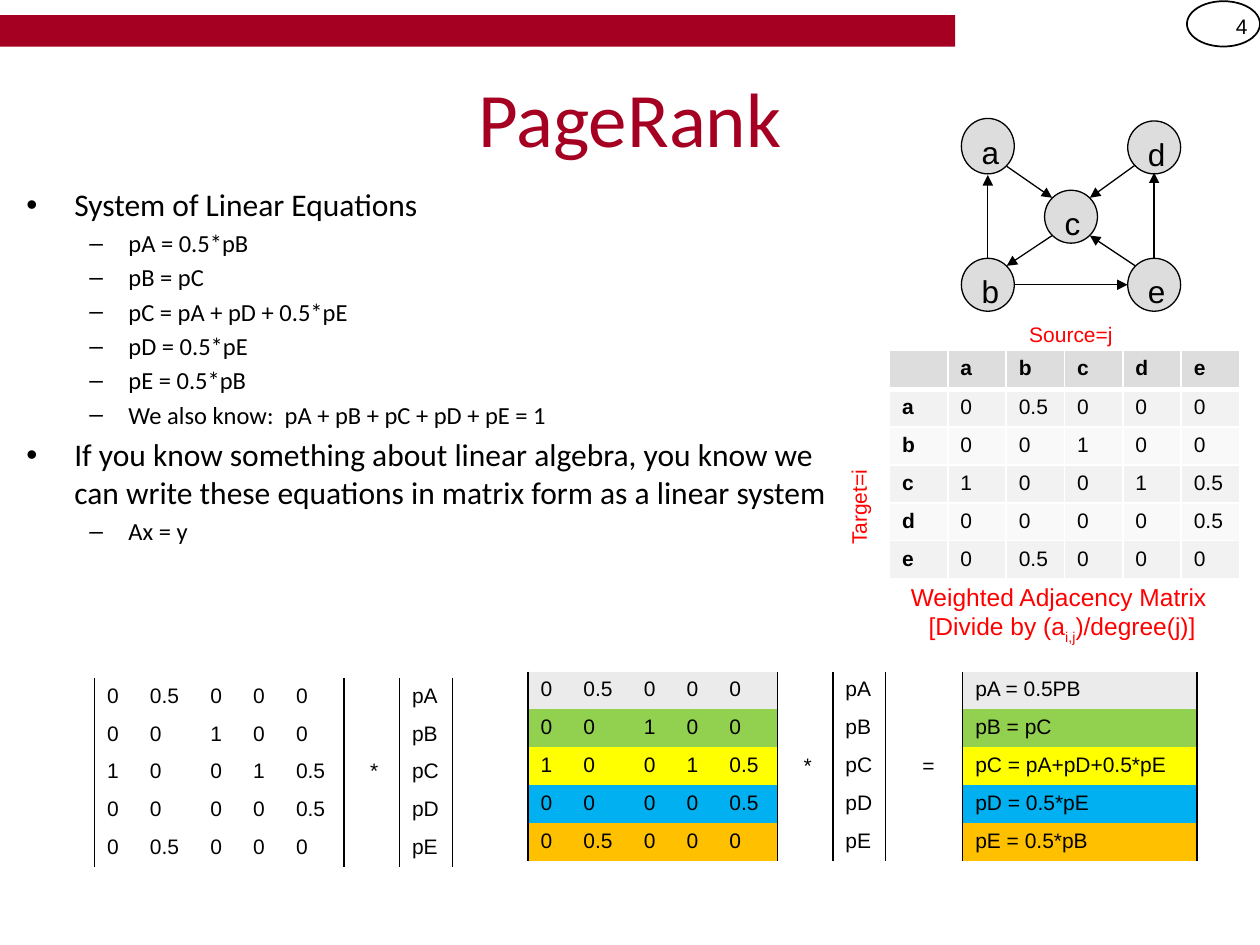
"""Build the PageRank slide: link graph, weighted adjacency matrix and linear system."""
from dataclasses import dataclass
from typing import NamedTuple, Optional, Sequence

from pptx import Presentation
from pptx.dml.color import RGBColor
from pptx.enum.shapes import MSO_CONNECTOR, MSO_SHAPE
from pptx.enum.text import MSO_ANCHOR, MSO_AUTO_SIZE, PP_ALIGN
from pptx.oxml.ns import qn
from pptx.util import Inches, Pt
from lxml.etree import SubElement


@dataclass(frozen=True)
class Theme:
    heading: str = "Calibri"
    label: str = "Arial"
    ink: str = "000000"
    paper: str = "FFFFFF"
    brand: str = "A50021"
    note: str = "FF0000"
    node: str = "DDDDDD"
    bands: tuple = ("F2F2F2", "F9F9F9")
    equations: tuple = ("EBEBEB", "92D050", "FFFF00", "00B0F0", "FFC000")
    title_size: int = 44
    topic_size: int = 18
    caption_size: int = 14
    small_size: int = 12


class Box(NamedTuple):
    left: float
    top: float
    width: float
    height: float


class Node(NamedTuple):
    name: str
    box: Box


class Link(NamedTuple):
    x1: float
    y1: float
    x2: float
    y2: float


class Level(NamedTuple):
    bullet: str
    margin: float
    indent: float
    size: int
    before: float


class Product(NamedTuple):
    left: float
    top: float
    star_top: float
    fills: Optional[Sequence[str]]
    vector_fill: Optional[str]


THEME = Theme()
PAGES = "abcde"
WEIGHTS = [row.split() for row in (
    "0 0.5 0 0 0", "0 0 1 0 0", "1 0 0 1 0.5", "0 0 0 0 0.5", "0 0.5 0 0 0")]
RANKS = [[f"p{page.upper()}"] for page in PAGES]
EQUATIONS = [["pA = 0.5PB"], ["pB = pC"], ["pC = pA+pD+0.5*pE"], ["pD = 0.5*pE"], ["pE = 0.5*pB"]]
LEVELS = (Level("•", 0.38, -0.38, THEME.topic_size, 3.6),
          Level("–", 0.81, -0.31, THEME.caption_size, 2.8))
OUTLINE = (
    (0, "System of Linear Equations"),
    (1, "pA = 0.5*pB"),
    (1, "pB = pC"),
    (1, "pC = pA + pD + 0.5*pE"),
    (1, "pD = 0.5*pE"),
    (1, "pE = 0.5*pB"),
    (1, "We also know:  pA + pB + pC + pD + pE = 1"),
    (0, "If you know something about linear algebra, you know we can write "
        "these equations in matrix form as a linear system"),
    (1, "Ax = y"),
)
NODES = (Node("a", Box(7.63, 0.94, 0.42, 0.44)), Node("b", Box(7.63, 2.05, 0.42, 0.42)),
         Node("d", Box(8.95, 0.96, 0.42, 0.42)), Node("c", Box(8.29, 1.51, 0.42, 0.42)),
         Node("e", Box(8.95, 2.05, 0.42, 0.42)))
LINKS = (Link(7.99, 1.32, 8.35, 1.57), Link(7.84, 2.05, 7.84, 1.39), Link(9.16, 2.05, 9.16, 1.37),
         Link(9.01, 2.11, 8.65, 1.87), Link(9.01, 1.31, 8.65, 1.57), Link(8.05, 2.26, 8.95, 2.26),
         Link(8.35, 1.87, 7.99, 2.11))
PRODUCTS = (Product(0.75, 5.38, 5.96, None, None),
            Product(4.19, 5.33, 5.92, THEME.equations, THEME.paper))


def emu(box: Box) -> list:
    return [Inches(length) for length in box]


def add_text(paragraph, words: str, size: float, color: str = THEME.ink,
             font: str = THEME.label, bold: bool = False):
    run = paragraph.add_run()
    run.text = words
    run.font.size, run.font.name, run.font.bold = Pt(size), font, bold
    run.font.color.rgb = RGBColor.from_string(color)
    return run


def add_label(slide, box: Box, words: str, size: int = THEME.small_size,
              color: str = THEME.ink, align=PP_ALIGN.CENTER):
    label = slide.shapes.add_textbox(*emu(box))
    label.text_frame.word_wrap = True
    paragraph = label.text_frame.paragraphs[0]
    paragraph.alignment = align
    add_text(paragraph, words, size, color)
    return label


def add_figure(slide, kind, box: Box, fill: Optional[str], outline: float = 0):
    figure = slide.shapes.add_shape(kind, *emu(box))
    figure.shadow.inherit = False
    if fill:
        figure.fill.solid()
        figure.fill.fore_color.rgb = RGBColor.from_string(fill)
    else:
        figure.fill.background()
    if outline:
        figure.line.color.rgb = RGBColor.from_string(THEME.ink)
        figure.line.width = Pt(outline)
    else:
        figure.line.fill.background()
    return figure


def add_node(slide, node: Node) -> None:
    frame = add_figure(slide, MSO_SHAPE.OVAL, node.box, THEME.node, 0.75).text_frame
    frame.word_wrap = False
    frame.vertical_anchor = MSO_ANCHOR.TOP
    frame.paragraphs[0].alignment = PP_ALIGN.LEFT
    add_text(frame.paragraphs[0], node.name, THEME.topic_size)


def add_link(slide, link: Link) -> None:
    arrow = slide.shapes.add_connector(MSO_CONNECTOR.STRAIGHT, *emu(link))
    arrow.line.color.rgb = RGBColor.from_string(THEME.ink)
    arrow.line.width = Pt(0.75)
    SubElement(arrow.line._get_or_add_ln(), qn("a:tailEnd"), type="triangle")
    SubElement(arrow._element.spPr, qn("a:effectLst"))


def add_border(cell, side: str, color: str, width: float) -> None:
    edge = SubElement(cell._tc.get_or_add_tcPr(), qn(f"a:ln{side}"), w=str(Pt(width)))
    SubElement(SubElement(edge, qn("a:solidFill")), qn("a:srgbClr"), val=color)


def add_grid(slide, left: float, top: float, widths: Sequence[float], rows: Sequence):
    grid = slide.shapes.add_table(len(rows), len(widths), *emu(
        Box(left, top, sum(widths), 0.28 * len(rows)))).table
    grid.first_row = grid.horz_banding = False
    grid._tbl.tblPr.find(qn("a:tableStyleId")).text = "{2D5ABB26-0587-4C30-8999-92F81FD0307C}"
    for column, width in zip(grid.columns, widths):
        column.width = Inches(width)
    return grid


def fill_cell(cell, words: str, fill: Optional[str], bold: bool = False) -> None:
    if fill:
        cell.fill.solid()
        cell.fill.fore_color.rgb = RGBColor.from_string(fill)
    if words:
        add_text(cell.text_frame.paragraphs[0], words, THEME.small_size, bold=bold)
    else:
        cell.margin_top = cell.margin_bottom = 0


def add_bracketed(slide, left: float, top: float, widths: Sequence[float], rows: Sequence,
                  fills: Optional[Sequence[str]]) -> None:
    grid = add_grid(slide, left, top, widths, rows)
    for r, row in enumerate(rows):
        for c, words in enumerate(row):
            cell = grid.cell(r, c)
            if c == 0:
                add_border(cell, "L", THEME.ink, 1)
            if c == len(row) - 1:
                add_border(cell, "R", THEME.ink, 1)
            fill_cell(cell, words, fills[r] if fills else None)


def add_adjacency(slide) -> None:
    rows = [["", *PAGES]] + [[page, *weights] for page, weights in zip(PAGES, WEIGHTS)]
    grid = add_grid(slide, 7.06, 2.78, [2.78 / 6] * 6, rows)
    grid.rows[0].height = Inches(0.31)
    for r, row in enumerate(rows):
        for c, words in enumerate(row):
            cell = grid.cell(r, c)
            for side in "LRTB":
                heavy = (r, side) in ((0, "B"), (1, "T"))
                add_border(cell, side, THEME.paper, 3 if heavy else 1)
            fill_cell(cell, words, THEME.bands[(r - 1) % 2] if r else THEME.node, r == 0 or c == 0)


def add_outline(body) -> None:
    body.left, body.top, body.width, body.height = emu(Box(0.11, 1.42, 6.73, 2.58))
    frame = body.text_frame
    frame.auto_size = MSO_AUTO_SIZE.NONE
    for position, (depth, words) in enumerate(OUTLINE):
        paragraph = frame.add_paragraph() if position else frame.paragraphs[0]
        level = LEVELS[depth]
        paragraph.level = depth
        paragraph.space_before = Pt(level.before if position else 0)
        properties = paragraph._p.get_or_add_pPr()
        properties.set("marL", str(Inches(level.margin)))
        properties.set("indent", str(Inches(level.indent)))
        SubElement(properties, qn("a:buChar"), char=level.bullet)
        add_text(paragraph, words, level.size, font=THEME.heading)


def main() -> None:
    deck = Presentation()
    deck.slide_width, deck.slide_height = Inches(10), Inches(7.5)
    slide = deck.slides.add_slide(deck.slide_layouts[1])
    title, body = slide.placeholders
    title.left, title.top, title.width, title.height = emu(Box(0.5, 0.3, 9, 1.25))
    title.text_frame.vertical_anchor = MSO_ANCHOR.MIDDLE
    add_text(title.text_frame.paragraphs[0], "PageRank", THEME.title_size, THEME.brand, THEME.heading)
    add_outline(body)

    add_figure(slide, MSO_SHAPE.RECTANGLE, Box(0, 0.12, 7.58, 0.25), THEME.brand)
    add_figure(slide, MSO_SHAPE.OVAL, Box(9.42, 0.01, 0.58, 0.36), None, 1)
    number = add_label(slide, Box(9.42, 0.01, 0.58, 0.4), "4", align=PP_ALIGN.RIGHT)
    number.text_frame.vertical_anchor = MSO_ANCHOR.MIDDLE

    for node in NODES:
        add_node(slide, node)
    for link in LINKS:
        add_link(slide, link)

    caption = add_label(slide, Box(7.03, 4.57, 2.8, 0.42), "Weighted Adjacency Matrix ",
                        THEME.caption_size, THEME.note).text_frame.paragraphs[0]
    caption.add_line_break()
    add_text(caption, "[Divide by (a", THEME.caption_size, THEME.note)
    subscript = add_text(caption, "i,j", THEME.caption_size, THEME.note)
    subscript.font._element.set("baseline", "-25000")
    add_text(caption, ")/degree(j)]", THEME.caption_size, THEME.note)
    add_label(slide, Box(6.08, 3.86, 1.5, 0.33), "Target=i", color=THEME.note).rotation = 270
    add_label(slide, Box(7.25, 2.5, 2.5, 0.25), "Source=j", color=THEME.note)
    add_adjacency(slide)

    for product in PRODUCTS:
        add_bracketed(slide, product.left, product.top, (0.34, 0.48, 0.34, 0.34, 0.48),
                      WEIGHTS, product.fills)
        add_bracketed(slide, product.left + 2.42, product.top, (0.42,), RANKS,
                      [product.vector_fill] * len(RANKS))
        add_label(slide, Box(product.left + 2, product.star_top, 0.44, 0.25), "*")
    add_label(slide, Box(7.15, 5.92, 0.44, 0.25), "=")
    add_bracketed(slide, 7.64, 5.33, (1.86,), EQUATIONS, THEME.equations)
    deck.save("out.pptx")


if __name__ == "__main__":
    main()
